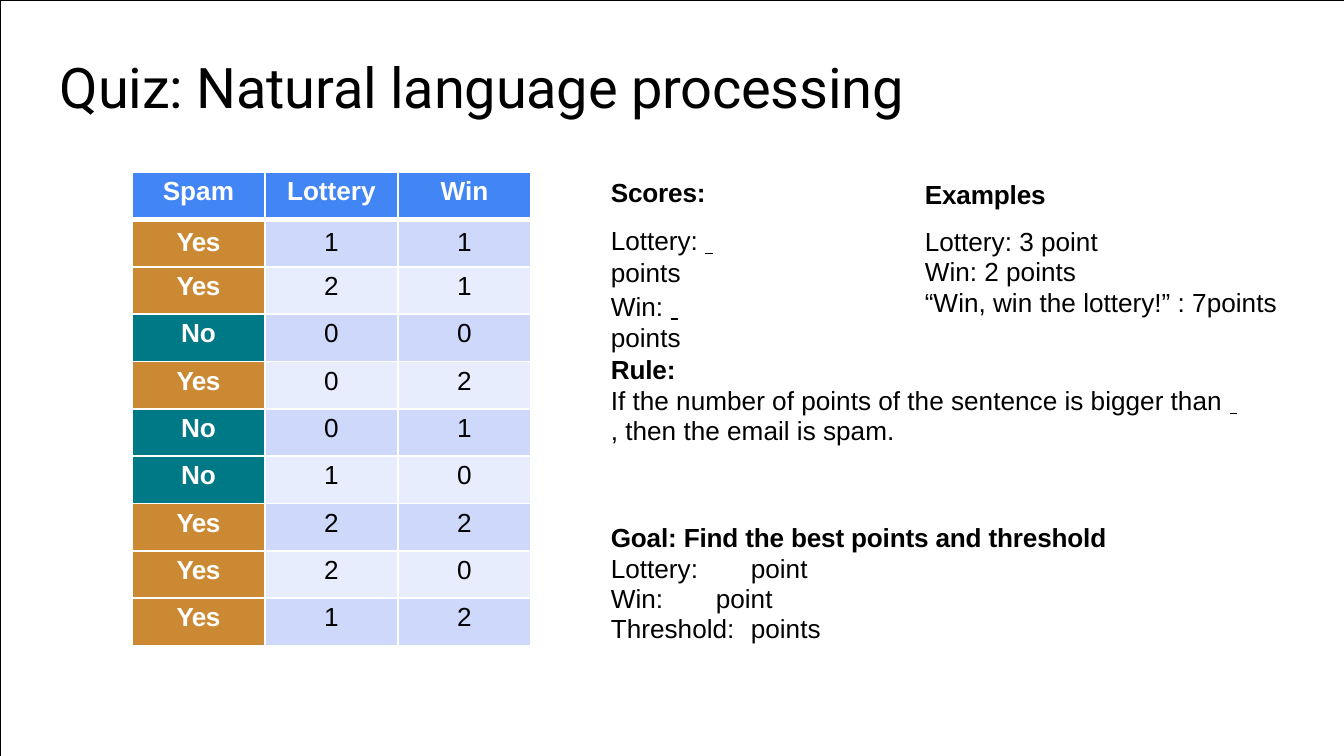
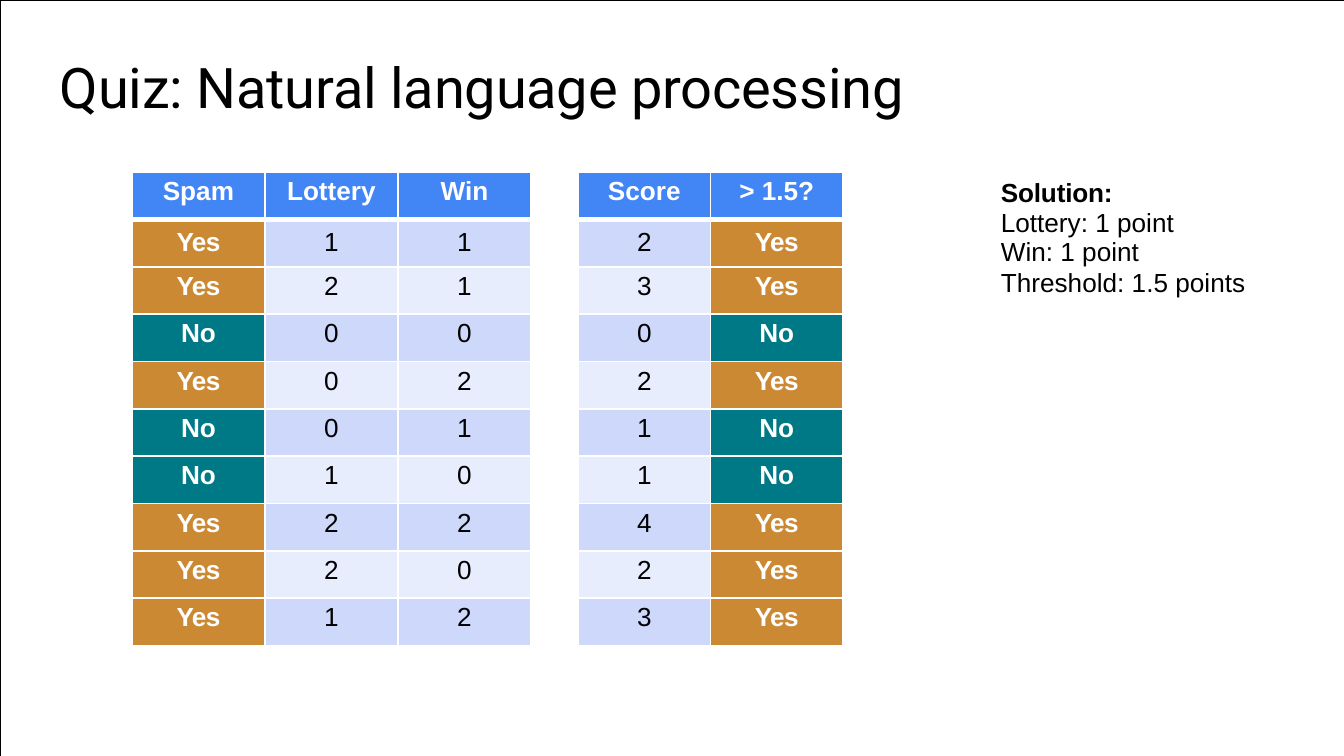
import pptx
import pptx.dml.color
import pptx.enum.shapes
import pptx.enum.text
import pptx.oxml.ns
import pptx.util
from lxml import etree

RGBColor = pptx.dml.color.RGBColor
BLACK = RGBColor(0x00, 0x00, 0x00)
WHITE = RGBColor(0xFF, 0xFF, 0xFF)
BLUE = RGBColor(0x42, 0x85, 0xF4)
OCHRE = RGBColor(0xCC, 0x89, 0x33)
TEAL = RGBColor(0x00, 0x79, 0x86)
BANDS = (RGBColor(0xCD, 0xD8, 0xFB), RGBColor(0xE8, 0xED, 0xFD))
ANSWERS = {"Yes": OCHRE, "No": TEAL}

WIDTH, HEIGHT = 1344, 756
TABLE_TOP, TABLE_HEIGHT = 172, 474
TITLE = "Quiz: Natural language processing"
EMAILS = [
    ("Spam", "Lottery", "Win"),
    ("Yes", "1", "1"),
    ("Yes", "2", "1"),
    ("No", "0", "0"),
    ("Yes", "0", "2"),
    ("No", "0", "1"),
    ("No", "1", "0"),
    ("Yes", "2", "2"),
    ("Yes", "2", "0"),
    ("Yes", "1", "2"),
]
POINTS = {"Lottery": 1, "Win": 1}
THRESHOLD = 1.5


def px(n):
    return pptx.util.Emu(round(n * 9144000 / WIDTH))


def sub(parent, tag, **attrs):
    return etree.SubElement(parent, pptx.oxml.ns.qn(tag), attrs)


def format_run(r, size=14, font="Arial", color=BLACK, bold=False, underline=False, tracking=0):
    r.font.size = pptx.util.Pt(size)
    r.font.name = font
    r.font.color.rgb = color
    r.font.bold = bold
    r.font.underline = underline
    r._r.get_or_add_rPr().set("spc", str(tracking))


def set_margins(box, top):
    box.margin_left = box.margin_right = box.margin_bottom = 0
    box.margin_top = px(top)


def para(*runs, leading=None, before=0, tabs=()):
    return runs, leading, before, tabs


def head(text, **spacing):
    return para((text, "b"), **spacing)


def line(text, **spacing):
    return para((text, ""), **spacing)


def add_text(slide, left, top, width, height, paras, inset=1):
    tf = slide.shapes.add_textbox(px(left), px(top), px(width), px(height)).text_frame
    tf.word_wrap = True
    tf.auto_size = pptx.enum.text.MSO_AUTO_SIZE.SHAPE_TO_FIT_TEXT
    set_margins(tf, inset)
    for i, (runs, leading, before, tabs) in enumerate(paras):
        p = tf.paragraphs[0] if i == 0 else tf.add_paragraph()
        pPr = p._p.get_or_add_pPr()
        pPr.set("marL", "12700")
        if tabs:
            tab_list = sub(pPr, "a:tabLst")
            for pos in tabs:
                sub(tab_list, "a:tab", pos=str(px(pos)), algn="l")
        if leading:
            p.line_spacing = pptx.util.Pt(leading)
        p.space_before = pptx.util.Pt(before)
        for text, style in runs:
            r = p.add_run()
            r.text = text
            bold = style == "b"
            format_run(r, bold=bold, underline=style == "u", tracking=-10 if bold else 0)


def add_frame(prs, slide):
    sp = slide.shapes.add_shape(
        pptx.enum.shapes.MSO_SHAPE.RECTANGLE, 0, 0, px(WIDTH), px(HEIGHT))
    sp.shadow.inherit = False
    sp.fill.background()
    sp.line.color.rgb = BLACK
    sp.line.width = pptx.util.Pt(0.25)
    prs.slide_master.shapes.element.insert(2, sp.element)


def add_quiz_slide(prs):
    slide = prs.slides.add_slide(prs.slide_layouts[5])
    sp = slide.shapes.title
    sp.left, sp.top, sp.width, sp.height = px(58), px(52), px(863), px(71)
    tf = sp.text_frame
    tf.text = TITLE
    tf.word_wrap = True
    tf.vertical_anchor = pptx.enum.text.MSO_ANCHOR.TOP
    set_margins(tf, 1)
    p = tf.paragraphs[0]
    p.alignment = pptx.enum.text.PP_ALIGN.LEFT
    p._p.get_or_add_pPr().set("marL", "12700")
    format_run(p.runs[0], size=30, font="Roboto", tracking=-10)
    return slide


def add_borders(cell, row):
    thick = {0: "a:lnB", 1: "a:lnT"}.get(row)
    for tag in ("a:lnL", "a:lnR", "a:lnT", "a:lnB"):
        weight = pptx.util.Pt(3 if tag == thick else 1)
        ln = sub(cell._tc.get_or_add_tcPr(), tag, w=str(weight))
        sub(sub(ln, "a:solidFill"), "a:srgbClr", val=str(WHITE))


def add_quiz_table(slide, left, width, rows):
    table = slide.shapes.add_table(
        len(rows), len(rows[0]), px(left), px(TABLE_TOP), px(width), px(TABLE_HEIGHT)).table
    table.horz_banding = False
    for i, row in enumerate(rows):
        for j, text in enumerate(row):
            cell = table.cell(i, j)
            set_margins(cell, 8 if i == 1 else 5)
            add_borders(cell, i)
            strong = i == 0 or text in ANSWERS
            cell.fill.solid()
            cell.fill.fore_color.rgb = BLUE if i == 0 else ANSWERS.get(text, BANDS[(i - 1) % 2])
            cell.text = text
            p = cell.text_frame.paragraphs[0]
            p.alignment = pptx.enum.text.PP_ALIGN.CENTER
            format_run(p.runs[0], color=WHITE if strong else BLACK, bold=strong,
                       tracking=-30 if text == "Yes" else 0)


def add_question(slide, left):
    add_text(slide, left, 157, 218, 101, [
        head("Scores:"),
        para(("Lottery: ", ""), (" \t", "u"), (" points", ""), before=9.2, tabs=[140]),
    ], inset=19)
    add_text(slide, left, 289, 184, 35, [
        para(("Win: ", ""), (" \t", "u"), (" points", ""), tabs=[105]),
    ])
    add_text(slide, left, 353, 686, 290, [
        head("Rule:", leading=16.4),
        para(("If the number of points of the sentence is bigger than ", ""), (" \t", "u"),
             (", then the email is spam.", ""), leading=16, before=0.8, tabs=[677]),
        head("Goal: Find the best points and threshold", leading=16.4, before=41),
        line("Lottery:\t\tpoint", leading=16, before=0.8, tabs=[105, 140]),
        line("Win:\tpoint", leading=16, tabs=[105]),
        line("Threshold:\tpoints", leading=16, tabs=[140]),
    ])
    add_text(slide, left + 314, 159, 356, 161, [
        head("Examples"),
        line("Lottery: 3 point", leading=16.4, before=9.2),
        line("Win: 2 points", leading=16),
        line("“Win, win the lottery!” : 7points", leading=16.4),
    ], inset=19)


def add_solution(slide, left):
    add_text(slide, left, 176, 248, 125, [
        head("Solution:", leading=16.4),
        *(line(f"{word}: {n} point", leading=16) for word, n in POINTS.items()),
        line(f"Threshold: {THRESHOLD} points", leading=16.4),
    ])


def score_rows():
    rows = [("Score", f"> {THRESHOLD}?")]
    for _, lottery, win in EMAILS[1:]:
        score = int(lottery) * POINTS["Lottery"] + int(win) * POINTS["Win"]
        rows.append((str(score), "Yes" if score > THRESHOLD else "No"))
    return rows


def main():
    prs = pptx.Presentation()
    prs.slide_width, prs.slide_height = px(WIDTH), px(HEIGHT)

    question = add_quiz_slide(prs)
    add_frame(prs, question)
    add_quiz_table(question, 132, 399, EMAILS)
    add_question(question, 609)

    answer = add_quiz_slide(prs)
    add_quiz_table(answer, 132, 399, EMAILS)
    add_solution(answer, 999)
    add_quiz_table(answer, 578, 265, score_rows())

    prs.save("out.pptx")


if __name__ == "__main__":
    main()
